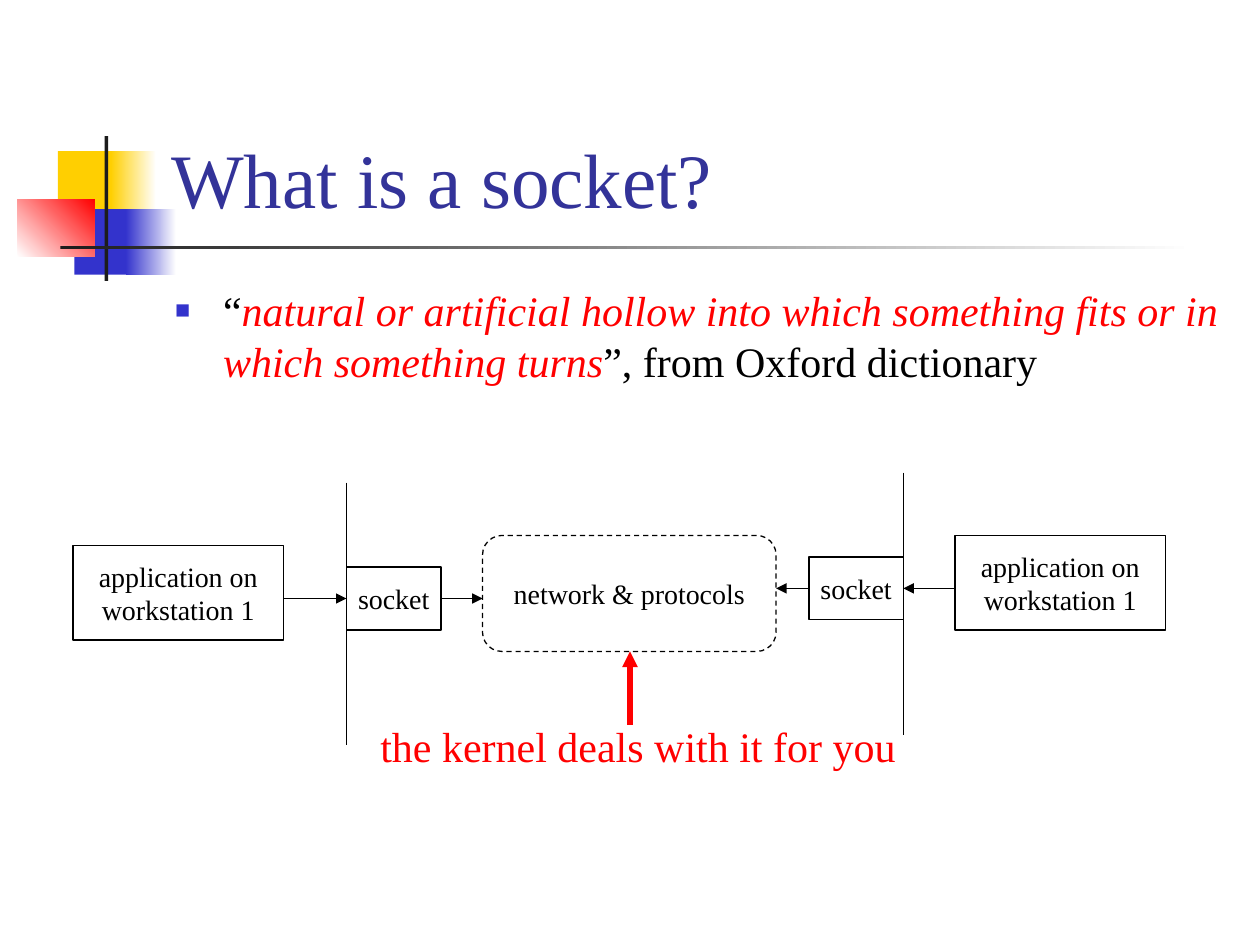
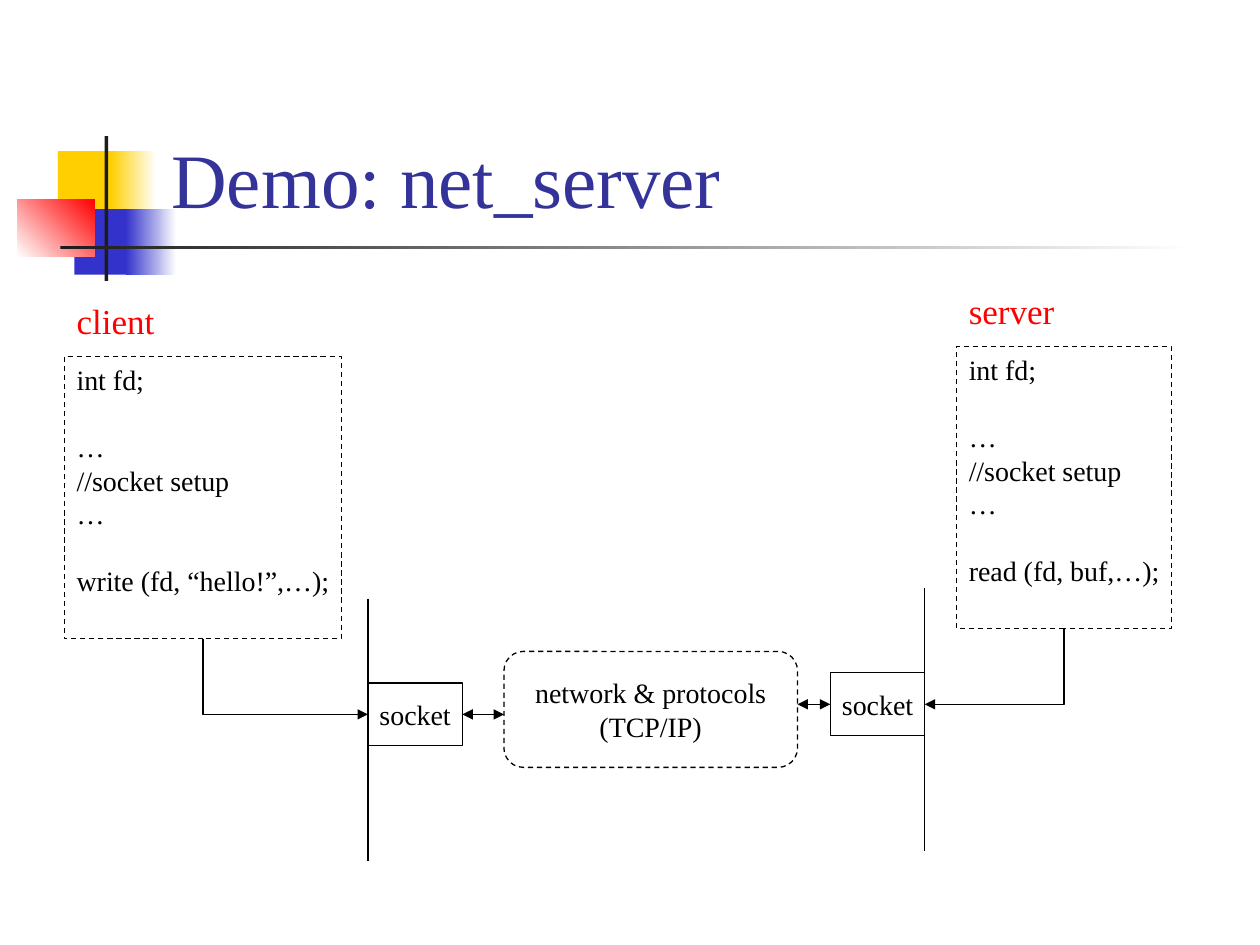
from lxml import etree
from pptx import Presentation
from pptx.dml.color import RGBColor
from pptx.enum.dml import MSO_LINE as Dash
from pptx.enum.shapes import MSO_CONNECTOR as Link, MSO_SHAPE as Kind
from pptx.enum.text import MSO_ANCHOR as Anchor, MSO_AUTO_SIZE as Fit, PP_ALIGN as Align
from pptx.oxml.ns import qn
from pptx.util import Inches, Pt

FONT = "Times New Roman"
BLACK = RGBColor(0x00, 0x00, 0x00)
WHITE = RGBColor(0xFF, 0xFF, 0xFF)
RED = RGBColor(0xFF, 0x00, 0x00)
YELLOW = RGBColor(0xFF, 0xCF, 0x01)
BLUE = RGBColor(0x33, 0x33, 0xCC)
TITLE_BLUE = RGBColor(0x33, 0x33, 0x99)
CHARCOAL = RGBColor(0x1C, 0x1C, 0x1C)

DECORATION = [
    ((0.46, 1.2, 0.48, 0.52), [YELLOW], 0),
    ((0.88, 1.2, 0.36, 0.52), [YELLOW, WHITE], 0),
    ((0.59, 1.66, 0.46, 0.52), [BLUE], 0),
    ((1, 1.66, 0.4, 0.52), [BLUE, WHITE], 0),
    ((0.14, 1.58, 0.61, 0.46), [WHITE, RED], 45),
    ((0.83, 1.08, 0.03, 1.15), [CHARCOAL], 0),
    ((0.48, 1.95, 9, 0.03), [CHARCOAL, WHITE], 0),
]
LEFT_SITE, BOTTOM_SITE, RIGHT_SITE = 1, 2, 3
SOCKET_WIDTH = 0.75
BARS_APART = 4.42
RIGHT_RISE = 0.08
ARROW_DROP = 0.92
CODE_GAP = Pt(19)


def style_run(span, size, color, italic=False):
    """Give a run the deck's font with a size and colour."""
    span.font.name = FONT
    span.font.size = Pt(size)
    span.font.color.rgb = color
    span.font.italic = italic


def write(frame, text, size, color=BLACK, align=Align.LEFT):
    """Fill a text frame with unwrapped lines in one style."""
    frame.word_wrap = False
    frame.text = text
    for para in frame.paragraphs:
        para.alignment = align
        for span in para.runs:
            style_run(span, size, color)


def add_label(page, box, text, size):
    """Add a red text label."""
    label = page.shapes.add_textbox(*map(Inches, box))
    write(label.text_frame, text, size, RED)


def add_box(page, box, text, kind=Kind.RECTANGLE, dashed=False, align=Align.CENTER):
    """Add an unfilled black-edged box with text."""
    shape = page.shapes.add_shape(kind, *map(Inches, box))
    shape.shadow.inherit = False
    shape.fill.background()
    shape.line.color.rgb = BLACK
    shape.line.width = Pt(0.75)
    if dashed:
        shape.line.dash_style = Dash.DASH
    shape.text_frame.vertical_anchor = Anchor.MIDDLE
    write(shape.text_frame, text, 16, align=align)
    return shape


def style_link(link, color, width, ends):
    """Colour a connector, add its arrowheads and drop its shadow."""
    link.line.color.rgb = color
    link.line.width = Pt(width)
    outline = link.element.spPr.find(qn("a:ln"))
    for end in ends:
        etree.SubElement(outline, qn(f"a:{end}"), type="triangle")
    etree.SubElement(link.element.spPr, qn("a:effectLst"))


def add_line(page, start, end, ends=(), color=BLACK, width=0.75):
    """Add a straight line, with arrowheads at the named ends."""
    points = map(Inches, (*start, *end))
    link = page.shapes.add_connector(Link.STRAIGHT, *points)
    style_link(link, color, width, ends)


def add_corner_arrow(page, source, target, site):
    """Add an arrow going down from one box and sideways into another."""
    link = page.shapes.add_connector(Link.ELBOW, 0, 0, 0, 0)
    link.begin_connect(source, BOTTOM_SITE)
    link.end_connect(target, site)
    left, top, width, height = link.left, link.top, link.width, link.height
    link.left = left + (width - height) // 2
    link.top = top + (height - width) // 2
    link.width, link.height = height, width
    rightward = site == LEFT_SITE
    frame = link.element.spPr.find(qn("a:xfrm"))
    frame.set("rot", str((270 if rightward else 90) * 60000))
    frame.set("flipH", "1" if rightward else "0")
    link.element.spPr.find(qn("a:prstGeom")).set("prst", "bentConnector2")
    style_link(link, BLACK, 0.75, ["tailEnd"])


def decorate_master(deck, page):
    """Draw the squares and rules and move them to the slide master."""
    for box, colors, angle in DECORATION:
        shape = page.shapes.add_shape(Kind.RECTANGLE, *map(Inches, box))
        shape.shadow.inherit = False
        shape.line.fill.background()
        if len(colors) == 1:
            shape.fill.solid()
            shape.fill.fore_color.rgb = colors[0]
        else:
            shape.fill.gradient()
            shape.fill.gradient_angle = angle
            for stop, color in zip(shape.fill.gradient_stops, colors):
                stop.color.rgb = color
        deck.slide_master.shapes.element.append(shape.element)


def place(holder, box):
    """Move a placeholder to a box and keep its text at full size."""
    holder.left, holder.top, holder.width, holder.height = map(Inches, box)
    holder.text_frame.auto_size = Fit.NONE


def add_title(page, text):
    """Fill the title placeholder."""
    title = page.shapes.title
    place(title, (1.26, 0.23, 8.52, 1.6))
    write(title.text_frame, text, 44, TITLE_BLUE)
    title.text_frame.word_wrap = True
    title.text_frame.vertical_anchor = Anchor.BOTTOM


def add_definition(page, box, parts):
    """Fill the body placeholder with one bullet of coloured parts."""
    body = page.placeholders[1]
    place(body, box)
    para = body.text_frame.paragraphs[0]
    para.space_before = Pt(0)
    props = para._p.get_or_add_pPr()
    props.set("marL", str(Inches(0.38)))
    props.set("indent", str(-Inches(0.38)))
    tint = etree.SubElement(props, qn("a:buClr"))
    etree.SubElement(tint, qn("a:srgbClr"), val=str(BLUE))
    etree.SubElement(props, qn("a:buSzPct"), val="60000")
    etree.SubElement(props, qn("a:buFont"), typeface=FONT)
    etree.SubElement(props, qn("a:buChar"), char="■")
    for text, color, italic in parts:
        span = para.add_run()
        span.text = text
        style_run(span, 24, color, italic)


def add_network(page, left, top, text, ends):
    """Draw two sockets on their bars around the network; return the sockets."""
    right, right_top = left + BARS_APART, top - RIGHT_RISE
    network_left, network_width = left + 1.08, 2.33
    sockets = []
    for bar, bar_top, socket_left, start, end in (
        (left, top, left, left + SOCKET_WIDTH, network_left),
        (right, right_top, right - SOCKET_WIDTH, right - SOCKET_WIDTH,
         network_left + network_width),
    ):
        add_line(page, (bar, bar_top), (bar, bar_top + 2.08))
        box = (socket_left, bar_top + 0.67, SOCKET_WIDTH, 0.5)
        sockets.append(add_box(page, box, "socket"))
        level = bar_top + ARROW_DROP
        add_line(page, (start, level), (end, level), ends)
    add_box(page, (network_left, top + 0.42, network_width, 0.92), text,
            Kind.ROUNDED_RECTANGLE, dashed=True)
    return sockets


def add_code(page, left, top, width, name, call):
    """Draw a labelled code box whose statement groups are spaced apart."""
    code = f"int fd;\n…\n//socket setup\n…\n{call}"
    shape = add_box(page, (left, top, width, 2.24), code, dashed=True, align=Align.LEFT)
    shape.text_frame.vertical_anchor = Anchor.TOP
    for index in (1, 4):
        shape.text_frame.paragraphs[index].space_before = CODE_GAP
    add_label(page, (left, top - 0.5, 0.88, 0.44), name, 20)
    return shape


def build_socket_page(page):
    """Build the slide that defines a socket."""
    add_title(page, "What is a socket?")
    add_definition(page, (1.29, 2.21, 8.5, 1.04), [
        ("“", BLACK, False),
        ("natural or artificial hollow into which something fits"
         " or in which something turns", RED, True),
        ("”, from Oxford dictionary", BLACK, False),
    ])
    left, top = 2.75, 3.83
    right, right_top = left + BARS_APART, top - RIGHT_RISE
    add_network(page, left, top, "network & protocols", ["tailEnd"])
    for box_left, bar_top, start, bar in (
        (0.58, top, 2.25, left), (7.58, right_top, 7.58, right),
    ):
        add_box(page, (box_left, bar_top + 0.5, 1.67, 0.75),
                "application on\nworkstation 1")
        level = bar_top + ARROW_DROP
        add_line(page, (start, level), (bar, level), ["tailEnd"])
    add_label(page, (2.92, 5.67, 4.29, 0.5), "the kernel deals with it for you", 24)
    add_line(page, (5, 5.75), (5, 5.17), ["tailEnd"], RED, 3)


def build_demo_page(page):
    """Build the slide that shows a client writing to a server."""
    add_title(page, "Demo: net_server")
    client_socket, server_socket = add_network(
        page, 2.92, 4.75, "network & protocols\n(TCP/IP)", ["headEnd", "tailEnd"])
    client = add_code(page, 0.51, 2.83, 2.2, "client", "write (fd, “hello!”,…);")
    server = add_code(page, 7.59, 2.75, 1.71, "server", "read (fd, buf,…);")
    add_corner_arrow(page, client, client_socket, LEFT_SITE)
    add_corner_arrow(page, server, server_socket, RIGHT_SITE)


def main():
    """Build and save the deck."""
    deck = Presentation()
    deck.slide_width, deck.slide_height = Inches(10), Inches(7.5)
    socket_page = deck.slides.add_slide(deck.slide_layouts[1])
    demo_page = deck.slides.add_slide(deck.slide_layouts[5])
    decorate_master(deck, socket_page)
    build_socket_page(socket_page)
    build_demo_page(demo_page)
    deck.save("out.pptx")


if __name__ == "__main__":
    main()
